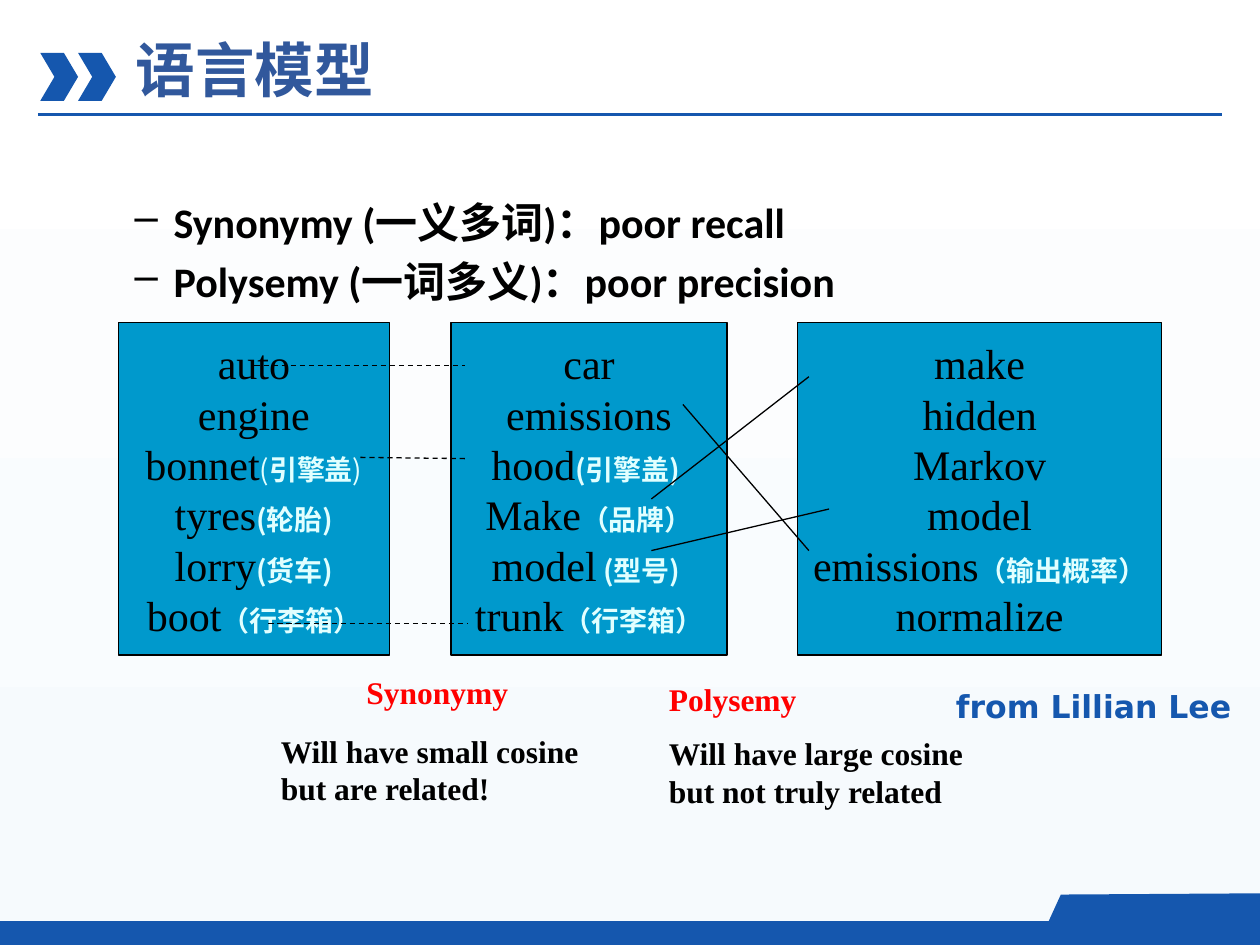
"""Build the slide on synonymy and polysemy on a grid of 100 columns by 75 rows."""
from dataclasses import dataclass

import pptx
import pptx.dml.color
import pptx.enum.dml
import pptx.enum.shapes
import pptx.enum.text
import pptx.oxml.ns
import pptx.util
from lxml import etree

Shape = pptx.enum.shapes.MSO_SHAPE
Align = pptx.enum.text.PP_ALIGN
Dash = pptx.enum.dml.MSO_LINE


@dataclass(frozen=True)
class Theme:
    blue: str = "1557AE"
    title: str = "31589C"
    panel: str = "0099CC"
    pale: str = "E1FFFF"
    red: str = "FF0000"
    black: str = "000000"
    top: str = "FFFFFF"
    base: str = "F6FAFD"
    serif: str = "Times New Roman"
    sans: str = "Calibri"
    label: str = "DejaVu Sans"
    han: str = "Noto Sans CJK SC"
    head: int = 34
    body: int = 24
    note: int = 18
    gloss: int = 16


@dataclass(frozen=True)
class Word:
    text: str
    gloss: str = ""
    plain: bool = False


@dataclass(frozen=True)
class Panel:
    col: float
    wide: float
    words: tuple


@dataclass(frozen=True)
class Link:
    start: tuple
    end: tuple
    dash: bool = False


THEME = Theme()
PANELS = (
    Panel(9.4, 21.5, (Word("auto"), Word("engine"), Word("bonnet", "(引擎盖)", True),
                      Word("tyres", "(轮胎)"), Word("lorry", "(货车)"),
                      Word("boot", "（行李箱）"))),
    Panel(35.8, 21.9, (Word("car"), Word("emissions"), Word("hood", "(引擎盖) "),
                       Word("Make", "（品牌）"), Word("model", " (型号) "),
                       Word("trunk", "（行李箱）"))),
    Panel(63.3, 28.9, (Word("make"), Word("hidden"), Word("Markov"), Word("model"),
                       Word("emissions", "（输出概率）"), Word("normalize"))),
)
LINKS = (
    Link((20.2, 29), (36.9, 29), True),
    Link((28.6, 36.3), (36.9, 36.4), True),
    Link((21.3, 49.5), (37.1, 49.5), True),
    Link((64.2, 29.9), (51.7, 39.6)),
    Link((65.8, 40.4), (51.7, 43.7)),
    Link((64.2, 43.7), (54.2, 32.1)),
)
TOPICS = (("Synonymy (", "一义多词", ")：poor recall"),
          ("Polysemy (", "一词多义", ")：poor precision"))


def cell(n: float) -> int:
    """Turn a count of grid cells into a length."""
    return pptx.util.Inches(n / 10)


def tint(code: str) -> pptx.dml.color.RGBColor:
    """Turn a hex code into a colour."""
    return pptx.dml.color.RGBColor.from_string(code)


def say(para, text: str, *, size: int = THEME.body, font: str = THEME.serif,
        color: str = THEME.black, bold: bool = False) -> None:
    """Add one run of text with its format."""
    run = para.add_run()
    run.text = text
    run.font.size = pptx.util.Pt(size)
    run.font.name = font
    run.font.bold = bold
    run.font.color.rgb = tint(color)
    east = etree.Element(pptx.oxml.ns.qn("a:ea"), typeface=THEME.han)
    run.font._element.find(pptx.oxml.ns.qn("a:latin")).addnext(east)


def line(frame, first: bool = False, space: float = 0, align=Align.LEFT):
    """Return the first or a new paragraph of a frame."""
    para = frame.paragraphs[0] if first else frame.add_paragraph()
    para.alignment = align
    if not first:
        para.space_before = pptx.util.Pt(space)
    return para


def box(slide, col: float, row: float, wide: float, high: float,
        wrap: bool = True, pad: float = 0.5):
    """Add a text box and return its frame."""
    frame = slide.shapes.add_textbox(*map(cell, (col, row, wide, high))).text_frame
    frame.word_wrap = wrap
    frame.margin_top = frame.margin_bottom = cell(pad)
    return frame


def paint(shape, fill: str, edge: str = ""):
    """Give a shape its fill and edge and no shadow."""
    shape.shadow.inherit = False
    shape.fill.solid()
    shape.fill.fore_color.rgb = tint(fill)
    if edge:
        shape.line.color.rgb = tint(edge)
        shape.line.width = pptx.util.Pt(0.75)
    else:
        shape.line.fill.background()
    return shape


def block(slide, kind, col: float, row: float, wide: float, high: float,
          fill: str, edge: str = ""):
    """Add a painted preset shape."""
    spot = map(cell, (col, row, wide, high))
    return paint(slide.shapes.add_shape(kind, *spot), fill, edge)


def join(slide, link: Link, color: str = THEME.black, width: float = 0.75) -> None:
    """Draw a straight line between two grid points."""
    ends = map(cell, (*link.start, *link.end))
    rule = slide.shapes.add_connector(pptx.enum.shapes.MSO_CONNECTOR.STRAIGHT, *ends)
    rule.line.color.rgb = tint(color)
    rule.line.width = pptx.util.Pt(width)
    if link.dash:
        rule.line.dash_style = Dash.DASH
    etree.SubElement(rule._element.spPr, pptx.oxml.ns.qn("a:effectLst"))


def frame_page(slide) -> None:
    """Draw the backdrop, the footer and the title mark."""
    fill = slide.background.fill
    fill.gradient()
    fill.gradient_angle = 270
    for stop, (code, place) in zip(fill.gradient_stops,
                                   ((THEME.top, 0), (THEME.base, 0.97))):
        stop.color.rgb = tint(code)
        stop.position = place
    block(slide, Shape.RECTANGLE, 0, 73.1, 100, 1.9, THEME.blue)
    pen = slide.shapes.build_freeform(cell(100), cell(74.5))
    pen.add_line_segments([(cell(x), cell(y)) for x, y in
                           ((100, 70.9), (84.2, 71), (82.6, 74.5))])
    paint(pen.convert_to_shape(), THEME.blue)
    join(slide, Link((3, 9.1), (97, 9.1)), THEME.blue, 1.5)
    for step in range(2):
        mark = block(slide, Shape.CHEVRON, 3.2 + 3 * step, 4.2, 3, 3.8, THEME.blue)
        mark.adjustments[0] = 0.375


def list_topics(slide) -> None:
    """Write the two dashed topics."""
    frame = box(slide, 4.7, 15.1, 68.3, 14.7)
    for i, parts in enumerate(TOPICS):
        para = line(frame, i == 0, 4.8)
        props = para._p.get_or_add_pPr()
        props.set("marL", str(cell(8.1)))
        props.set("indent", str(cell(-3.1)))
        etree.SubElement(props, pptx.oxml.ns.qn("a:buChar"), char="–")
        for text, font in zip(parts, (THEME.sans, THEME.han, THEME.sans)):
            say(para, text, font=font, bold=True)


def draw_panel(slide, panel: Panel) -> None:
    """Draw one column of words with their glosses."""
    shape = block(slide, Shape.RECTANGLE, panel.col, 25.6, panel.wide, 26.4,
                  THEME.panel, THEME.black)
    frame = shape.text_frame
    frame.word_wrap = False
    frame.vertical_anchor = pptx.enum.text.MSO_ANCHOR.MIDDLE
    for i, word in enumerate(panel.words):
        para = line(frame, i == 0, align=Align.CENTER)
        say(para, word.text)
        gloss = word.gloss
        parts = (gloss[:1], gloss[1:-1], gloss[-1:]) if word.plain else (gloss,)
        for k, part in enumerate(parts):
            if part:
                say(para, part, size=THEME.gloss, font=THEME.han, color=THEME.pale,
                    bold=not word.plain or k == 1)


def add_note(slide, spot: tuple, head: str, rows: tuple, gap: float,
             shift: float = 0) -> None:
    """Write a red heading above its remark."""
    frame = box(slide, *spot, pad=0)
    para = line(frame, True)
    para._p.get_or_add_pPr().set("indent", str(cell(shift)))
    say(para, head, size=THEME.note, color=THEME.red, bold=True)
    for i, text in enumerate(rows):
        say(line(frame, space=0 if i else gap), text, size=THEME.note, bold=True)


def main() -> None:
    """Build and save the slide."""
    deck = pptx.Presentation()
    deck.slide_width, deck.slide_height = cell(100), cell(75)
    slide = deck.slides.add_slide(deck.slide_layouts[6])
    frame_page(slide)
    list_topics(slide)
    for panel in PANELS:
        draw_panel(slide, panel)
    for link in LINKS:
        join(slide, link)
    add_note(slide, (21.3, 53.4, 30.1, 11.8), "Synonymy",
             ("Will have small cosine", "but are related!"), 12, 6.8)
    add_note(slide, (52.1, 54, 29.2, 10.6), "Polysemy",
             ("Will have large cosine but not truly related",), 9)
    say(line(box(slide, 74.8, 54, 24, 4, False), True, align=Align.CENTER),
        "from Lillian Lee", size=THEME.note, font=THEME.label, color=THEME.blue, bold=True)
    say(line(box(slide, 9.8, 2.1, 21.2, 6.7, False), True), "语言模型",
        size=THEME.head, color=THEME.title, bold=True)
    deck.save("out.pptx")


if __name__ == "__main__":
    main()
